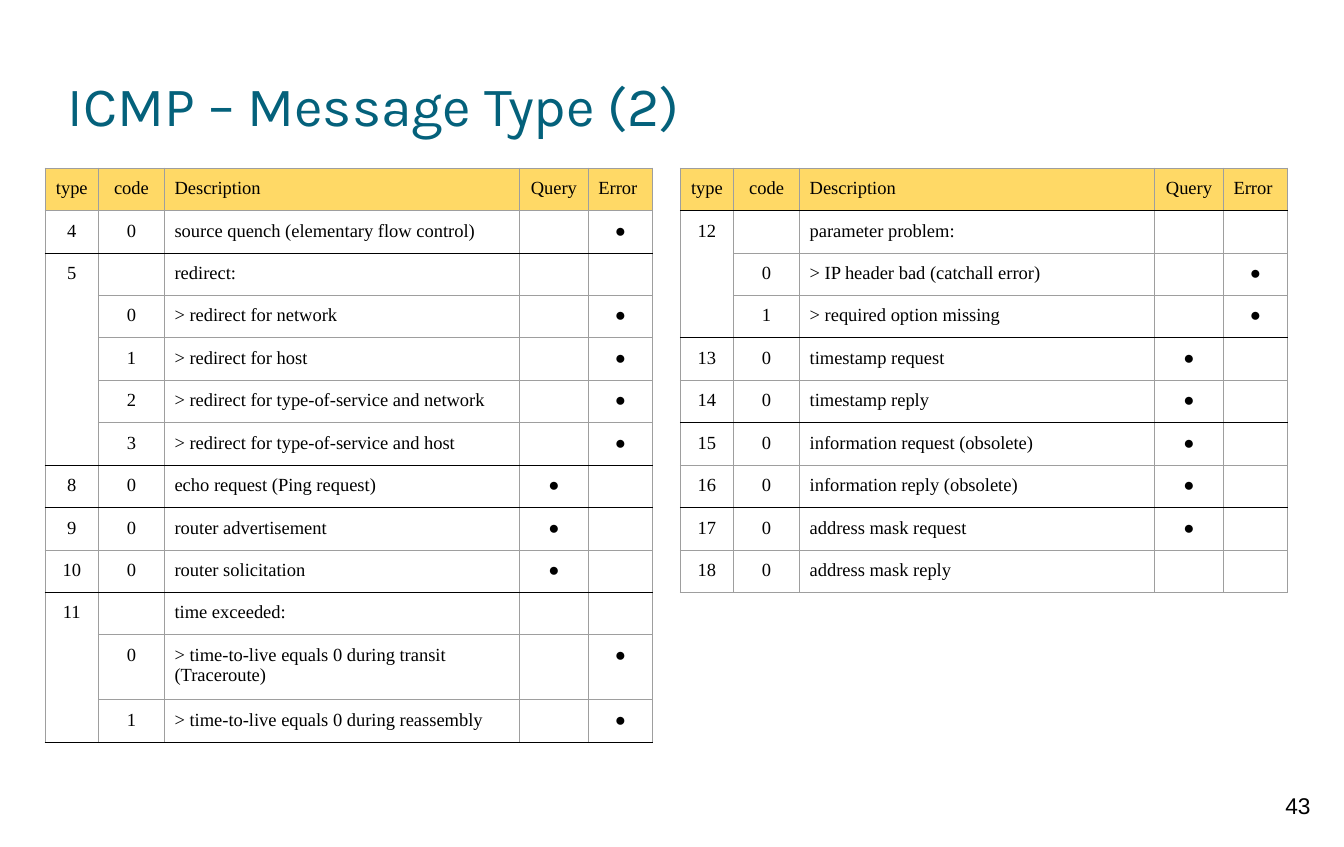
"""Build the slide with the two ICMP message type tables."""
from itertools import chain

from lxml.etree import SubElement
from pptx import Presentation
from pptx.dml.color import RGBColor
from pptx.enum.text import MSO_ANCHOR, PP_ALIGN
from pptx.oxml.ns import qn
from pptx.util import Cm, Pt

TEAL = RGBColor(0x04, 0x61, 0x7B)
YELLOW = RGBColor(0xFF, 0xD9, 0x66)
GREY = RGBColor(0x9E, 0x9E, 0x9E)
BLACK = RGBColor(0, 0, 0)

HEADER = ("type", "code", "Description", "Query", "Error")
COL_WIDTHS = (1.32, 1.64, 8.8, 1.71, 1.59)
ROW_HEIGHT = 1.02
QUERY, ERROR, NEITHER = ("●", ""), ("", "●"), ("", "")

LEFT_GROUPS = [
    [HEADER,
     ("4", "0", "source quench (elementary flow control)", *ERROR)],
    [("5", "", "redirect:", *NEITHER),
     (None, "0", "> redirect for network", *ERROR),
     (None, "1", "> redirect for host", *ERROR),
     (None, "2", "> redirect for type-of-service and network", *ERROR),
     (None, "3", "> redirect for type-of-service and host", *ERROR)],
    [("8", "0", "echo request (Ping request)", *QUERY)],
    [("9", "0", "router advertisement", *QUERY),
     ("10", "0", "router solicitation", *QUERY)],
    [("11", "", "time exceeded:", *NEITHER),
     (None, "0", "> time-to-live equals 0 during transit (Traceroute)", *ERROR),
     (None, "1", "> time-to-live equals 0 during reassembly", *ERROR)],
]
RIGHT_GROUPS = [
    [HEADER],
    [("12", "", "parameter problem:", *NEITHER),
     (None, "0", "> IP header bad (catchall error)", *ERROR),
     (None, "1", "> required option missing", *ERROR)],
    [("13", "0", "timestamp request", *QUERY),
     ("14", "0", "timestamp reply", *QUERY)],
    [("15", "0", "information request (obsolete)", *QUERY),
     ("16", "0", "information reply (obsolete)", *QUERY)],
    [("17", "0", "address mask request", *QUERY),
     ("18", "0", "address mask reply", *NEITHER)],
]


def write(tf, text, size=13, font="Times New Roman", color=BLACK, align=PP_ALIGN.LEFT):
    p = tf.paragraphs[0]
    p.alignment = align
    if not text:
        SubElement(p._p, qn("a:endParaRPr"), sz=str(size * 100))
        return
    r = p.add_run()
    r.text = text
    r.font.size = Pt(size)
    r.font.name = font
    r.font.color.rgb = color


class SlideBuilder:
    def __init__(self, slide, margin=0.25, line_width=0.75):
        self.s = slide
        self.margin = Cm(margin)
        self.line_width = Pt(line_width)

    def set_margins(self, box, margin):
        box.margin_left = box.margin_right = margin
        box.margin_top = box.margin_bottom = margin

    def text(self, text, x, y, w, h, margin=0, anchor=MSO_ANCHOR.TOP, **style):
        tf = self.s.shapes.add_textbox(Cm(x), Cm(y), Cm(w), Cm(h)).text_frame
        tf.word_wrap = True
        tf.vertical_anchor = anchor
        self.set_margins(tf, margin)
        write(tf, text, **style)

    def borders(self, cell, top, bottom):
        tcPr = cell._tc.get_or_add_tcPr()
        sides = {"L": GREY, "R": GREY, "T": top, "B": bottom}
        for side, color in sides.items():
            ln = SubElement(tcPr, qn(f"a:ln{side}"), w=str(self.line_width))
            fill = SubElement(ln, qn("a:solidFill"))
            SubElement(fill, qn("a:srgbClr"), val=str(color))

    def cell(self, cell, text, top, bottom, header, align):
        self.set_margins(cell, self.margin)
        self.borders(cell, top, bottom)
        if header:
            cell.fill.solid()
            cell.fill.fore_color.rgb = YELLOW
        else:
            cell.fill.background()
        write(cell.text_frame, text, align=align)

    def message_table(self, groups, x, y, closing_rule):
        rows = list(chain.from_iterable(groups))
        table = self.s.shapes.add_table(
            len(rows), len(HEADER), Cm(x), Cm(y),
            Cm(sum(COL_WIDTHS)), Cm(ROW_HEIGHT * len(rows))).table
        table.first_row = table.horz_banding = False
        for column, width in zip(table.columns, COL_WIDTHS):
            column.width = Cm(width)

        i = 0
        for group in groups:
            first, last = i, i + len(group) - 1
            ruled = closing_rule or group is not groups[-1]
            merged = group[-1][0] is None
            for row in group:
                table.rows[i].height = Cm(ROW_HEIGHT)
                for j, text in enumerate(row):
                    whole = merged and j == 0
                    top = BLACK if first and (i == first or whole) else GREY
                    bottom = BLACK if ruled and (i == last or whole) else GREY
                    left = j == 2 or (i == 0 and j == 4)
                    self.cell(table.cell(i, j), text, top, bottom, i == 0,
                              PP_ALIGN.LEFT if left else PP_ALIGN.CENTER)
                i += 1
            if merged:
                table.cell(first, 0).merge(table.cell(last, 0))


def main():
    prs = Presentation()
    prs.slide_width, prs.slide_height = Cm(33.33), Cm(21)
    b = SlideBuilder(prs.slides.add_slide(prs.slide_layouts[6]))
    b.text("43", 31.19, 19.38, 2, 1.6, margin=b.margin,
           size=16, font="Arial", align=PP_ALIGN.CENTER)
    b.text("ICMP – Message Type (2)", 1.68, 0.84, 30, 3.5,
           anchor=MSO_ANCHOR.MIDDLE, size=39, font="Karla", color=TEAL)
    b.message_table(LEFT_GROUPS, 1.12, 4.17, closing_rule=True)
    b.message_table(RIGHT_GROUPS, 16.87, 4.17, closing_rule=False)
    prs.save("out.pptx")


if __name__ == "__main__":
    main()
